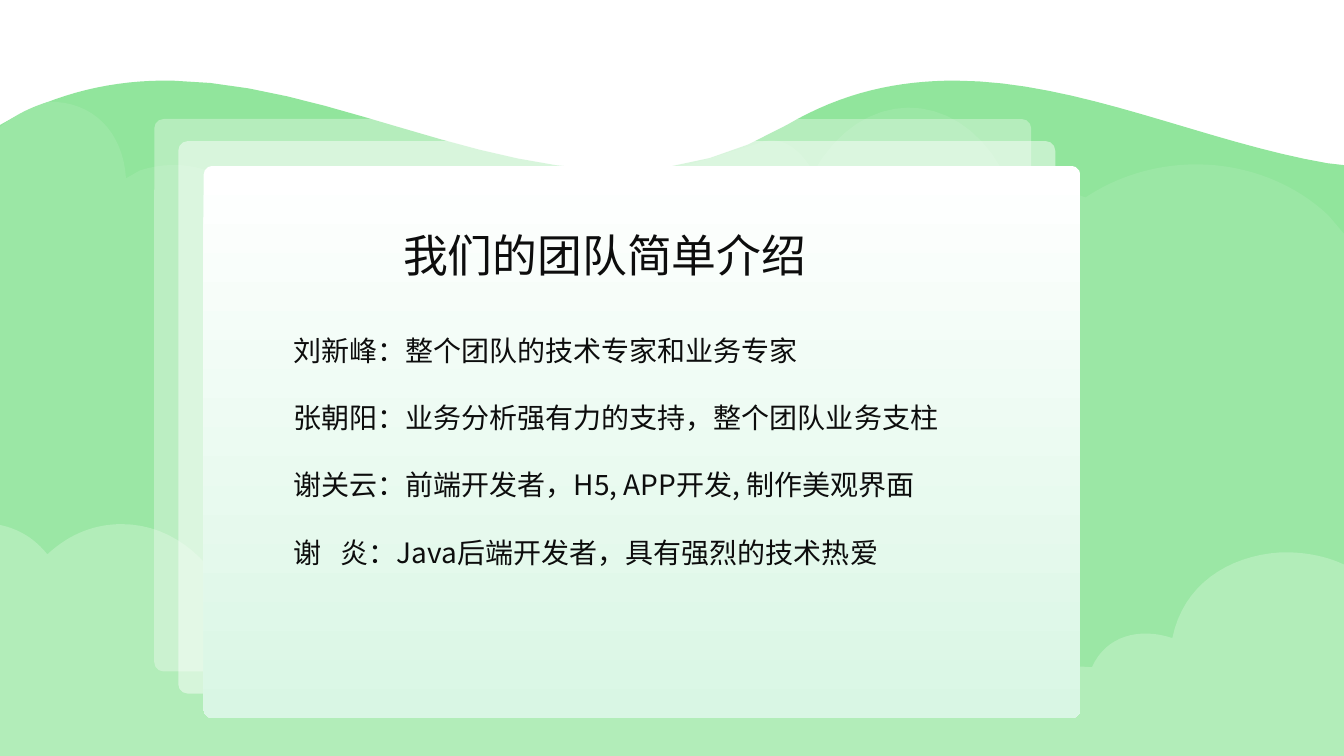
"""Build the team introduction slide with layered green hills and a card."""
from typing import NamedTuple

from lxml import etree
from pptx import Presentation
from pptx import util as u
from pptx.dml.color import RGBColor
from pptx.enum import shapes, text
from pptx.oxml import ns

WIDTH, HEIGHT = 960, 540
CURVE_STEPS = 16
INK = "0D0D0D"
CJK_FONT = "Noto Sans CJK SC"


class Landscape(NamedTuple):
    color: str
    start: tuple[float, float]
    segments: list[tuple[float, ...]]


class Card(NamedTuple):
    left: float
    top: float
    opacity: int


class TextBlock(NamedTuple):
    left: float
    top: float
    width: float
    height: float
    lines: list[str]
    size: float
    font: str
    gap: float


BOTTOM = [(WIDTH, HEIGHT), (0, HEIGHT)]

LANDSCAPES = [
    Landscape("91E59C", (0, 89.3), [
        (41, 65.5, 82, 57, 123, 57.6), (269, 60, 415, 176, 562, 89.3),
        (602.6, 65.5, 642, 57.6, 682.6, 57.6), (771, 58, 860, 101.5, 948, 116.6),
        (WIDTH, 118), *BOTTOM,
    ]),
    Landscape("9BE7A5", (0, 90.7), [
        (12, 81, 24, 76, 34.6, 72.7), (66, 72, 88, 94, 90, 127.4),
        (100, 121.7), (130, 112, 162, 121, 178, 144), (491, 118), (540, 103),
        (556, 95, 571, 105, 581, 123), (615, 62, 682, 62, 715, 120), (775.4, 141),
        (797, 126.7, 824, 117.4, 854.6, 117.4), (892, 117.4, 926, 132, 949, 154),
        (WIDTH, 167), *BOTTOM,
    ]),
    Landscape("B2EDB9", (0, 375), [
        (14, 378, 25, 385, 33.8, 396), (50, 381, 68, 374.4, 87, 374.4),
        (124.6, 374.4, 156, 402.5, 169, 442), (780, 476.6),
        (790, 454, 814, 448, 837.4, 455.8), (845, 418, 877, 397, 914.4, 394.6),
        (930, 394, 947, 397, WIDTH, 403.3), *BOTTOM,
    ]),
]

CARDS = [Card(110.2, 85, 33), Card(127.4, 100.8, 48), Card(145.4, 118.4, 100)]

TEXTS = [
    TextBlock(202.3, 234.7, 499, 177.1, [
        "刘新峰：整个团队的技术专家和业务专家",
        "张朝阳：业务分析强有力的支持，整个团队业务支柱",
        "谢关云：前端开发者，H5, APP开发, 制作美观界面",
        "谢\t炎：Java后端开发者，具有强烈的技术热爱",
    ], 20, CJK_FONT, 24),
    TextBlock(280.8, 159.1, 401.8, 59.8, ["我们的团队简单介绍"], 32, "Arial", 0),
]


def rgb(color: str) -> RGBColor:
    return RGBColor.from_string(color)


def outline(land: Landscape) -> list[tuple[float, float]]:
    points = [land.start]
    for seg in land.segments:
        if len(seg) == 2:
            points.append(seg)
            continue
        x0, y0 = points[-1]
        x1, y1, x2, y2, x3, y3 = seg
        for step in range(1, CURVE_STEPS + 1):
            t = step / CURVE_STEPS
            a, b, c, d = (1 - t) ** 3, 3 * t * (1 - t) ** 2, 3 * t * t * (1 - t), t ** 3
            points.append((a * x0 + b * x1 + c * x2 + d * x3,
                           a * y0 + b * y1 + c * y2 + d * y3))
    return points


def draw_landscape(s, land: Landscape) -> None:
    points = [(u.Pt(x), u.Pt(y)) for x, y in outline(land)]
    builder = s.shapes.build_freeform(*points[0])
    builder.add_line_segments(points[1:], close=True)
    sp = builder.convert_to_shape()
    sp.shadow.inherit = False
    sp.fill.solid()
    sp.fill.fore_color.rgb = rgb(land.color)
    sp.line.fill.background()


def draw_card(s, card: Card) -> None:
    sp = s.shapes.add_shape(shapes.MSO_SHAPE.ROUNDED_RECTANGLE, u.Pt(card.left),
                            u.Pt(card.top), u.Pt(626.4), u.Pt(394.6))
    sp.adjustments[0] = 0.017
    sp.shadow.inherit = False
    sp.line.fill.background()
    if card.opacity == 100:
        sp.fill.gradient()
        sp.fill.gradient_angle = 270
        for stop, color in zip(sp.fill.gradient_stops, ("FFFFFF", "D9F6E4")):
            stop.color.rgb = rgb(color)
        return
    sp.fill.solid()
    sp.fill.fore_color.rgb = rgb("FFFFFF")
    fill = sp._element.spPr.find(f".//{ns.qn('a:srgbClr')}")
    etree.SubElement(fill, ns.qn("a:alpha"), val=str(card.opacity * 1000))


def draw_text(s, block: TextBlock) -> None:
    tf = s.shapes.add_textbox(u.Pt(block.left), u.Pt(block.top),
                              u.Pt(block.width), u.Pt(block.height)).text_frame
    tf.word_wrap = True
    tf.auto_size = text.MSO_AUTO_SIZE.SHAPE_TO_FIT_TEXT
    for i, line in enumerate(block.lines):
        p = tf.paragraphs[0] if i == 0 else tf.add_paragraph()
        p.text = line
        if i:
            p.space_before = u.Pt(block.gap)
        if "\t" in line:
            tabs = etree.SubElement(p._p.get_or_add_pPr(), ns.qn("a:tabLst"))
            etree.SubElement(tabs, ns.qn("a:tab"), pos=str(u.Pt(34)), algn="l")
        p.font.size = u.Pt(block.size)
        p.font.name = block.font
        p.font.color.rgb = rgb(INK)


def main() -> None:
    prs = Presentation()
    prs.slide_width, prs.slide_height = u.Pt(WIDTH), u.Pt(HEIGHT)
    s = prs.slides.add_slide(prs.slide_layouts[6])
    for land in LANDSCAPES:
        draw_landscape(s, land)
    for card in CARDS:
        draw_card(s, card)
    for block in TEXTS:
        draw_text(s, block)
    prs.save("out.pptx")


if __name__ == "__main__":
    main()
